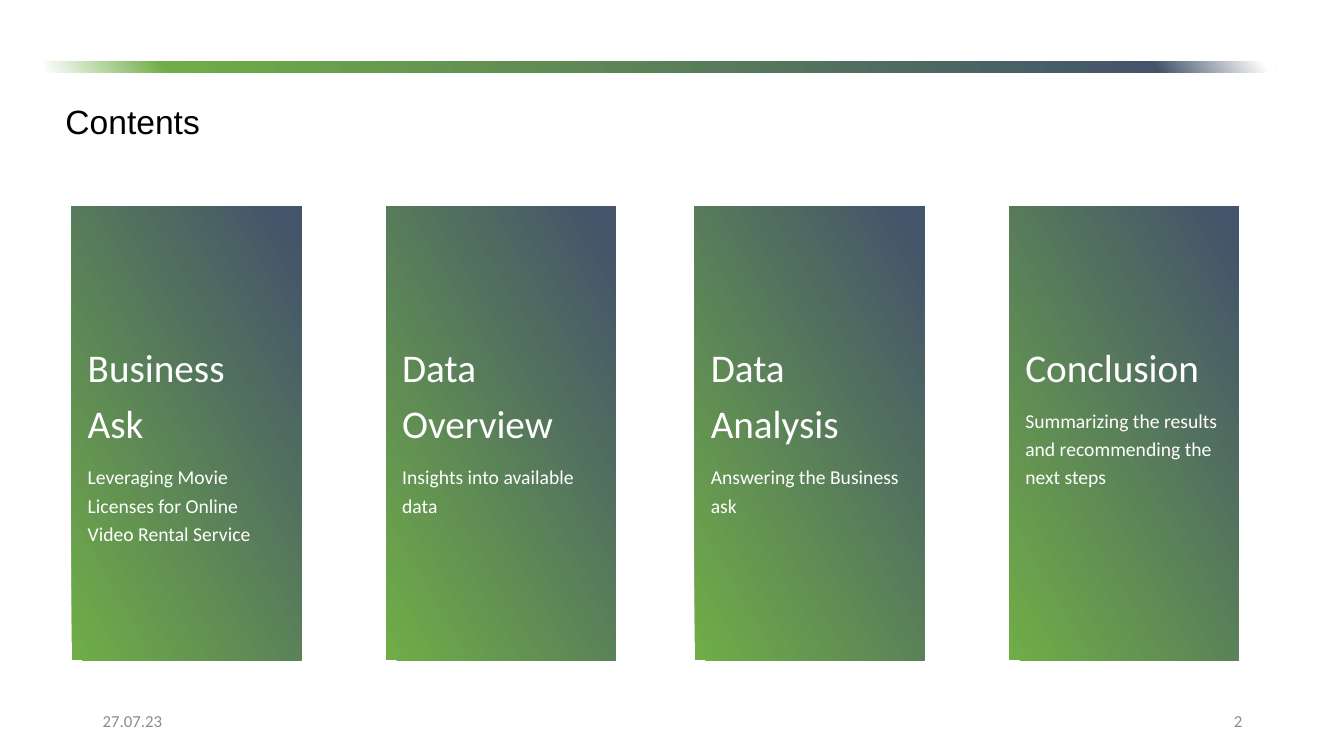
from lxml.etree import SubElement
from pptx import Presentation
from pptx.dml.color import RGBColor
from pptx.enum.shapes import MSO_SHAPE
from pptx.enum.text import MSO_ANCHOR, PP_ALIGN
from pptx.oxml.ns import qn
from pptx.util import Inches, Pt

GREEN = RGBColor(0x70, 0xAD, 0x47)
SLATE = RGBColor(0x44, 0x54, 0x6A)
WHITE = RGBColor(0xFF, 0xFF, 0xFF)
BLACK = RGBColor(0, 0, 0)
GREY = RGBColor(0x8C, 0x8C, 0x8C)

deck = Presentation()
deck.slide_width, deck.slide_height = Inches(13.33), Inches(7.5)
slide = deck.slides.add_slide(deck.slide_layouts[6])


def area(*box):
    """Turn left, top, width, height in percent of the slide into lengths."""
    sides = (deck.slide_width, deck.slide_height) * 2
    return [int(side * part / 100) for side, part in zip(sides, box)]


def write(para, text, size, font, color):
    run = para.add_run()
    run.text = text
    run.font.size = Pt(size)
    run.font.name = font
    run.font.color.rgb = color


# Gradient panels: the bar on top and one card per chapter
bar = (3.3, 8.13, 91.67, 1.47)
fade = [(0, WHITE), (10, GREEN), (90, SLATE), (99, WHITE)]
blend = [(0, GREEN), (96, SLATE)]
cards = [
    (5.33, "Business Ask", "Leveraging Movie Licenses for Online Video Rental Service"),
    (28.73, "Data Overview", "Insights into available data"),
    (51.69, "Data Analysis", "Answering the Business ask"),
    (75.09, "Conclusion", "Summarizing the results and recommending the next steps"),
]
panels = [(bar, fade, [])]
for left, head, note in cards:
    panels.append(((left, 27.33, 17.1, 60), blend, [(head, 28), (note, 14)]))

pad, _, _, drop = area(1.2, 0, 0, 16.8)
for box, stops, lines in panels:
    panel = slide.shapes.add_shape(MSO_SHAPE.RECTANGLE, *area(*box))
    panel.shadow.inherit = False
    panel.line.fill.background()
    panel.fill.gradient()
    panel.fill.gradient_angle = 30
    ramp = panel.element.spPr.find(".//" + qn("a:gsLst"))
    ramp.clear()
    for share, color in stops:
        stop = SubElement(ramp, qn("a:gs"), pos=str(share * 1000))
        SubElement(stop, qn("a:srgbClr"), val=str(color))

    frame = panel.text_frame
    frame.word_wrap = True
    frame.vertical_anchor = MSO_ANCHOR.TOP
    frame.margin_left = frame.margin_right = frame.margin_bottom = pad
    frame.margin_top = drop
    for row, (text, size) in enumerate(lines):
        para = frame.add_paragraph() if row else frame.paragraphs[0]
        para.alignment = PP_ALIGN.LEFT
        para.line_spacing = 1.2
        para.space_after = Pt(10)
        write(para, text, size, "Calibri", WHITE)

# Title, page number and date
labels = [
    ((4.13, 12.67, 19.5, 6.67), "Contents", 24, "Arial", BLACK, PP_ALIGN.LEFT, MSO_ANCHOR.TOP),
    ((70.67, 92.67, 22.5, 5.33), "2", 12, "Calibri", GREY, PP_ALIGN.RIGHT, MSO_ANCHOR.MIDDLE),
    ((6.9, 92.67, 22.5, 5.33), "27.07.23", 12, "Calibri", GREY, PP_ALIGN.LEFT, MSO_ANCHOR.MIDDLE),
]
for box, text, size, font, color, align, anchor in labels:
    frame = slide.shapes.add_textbox(*area(*box)).text_frame
    frame.word_wrap = True
    frame.vertical_anchor = anchor
    para = frame.paragraphs[0]
    para.alignment = align
    write(para, text, size, font, color)

deck.save("out.pptx")
